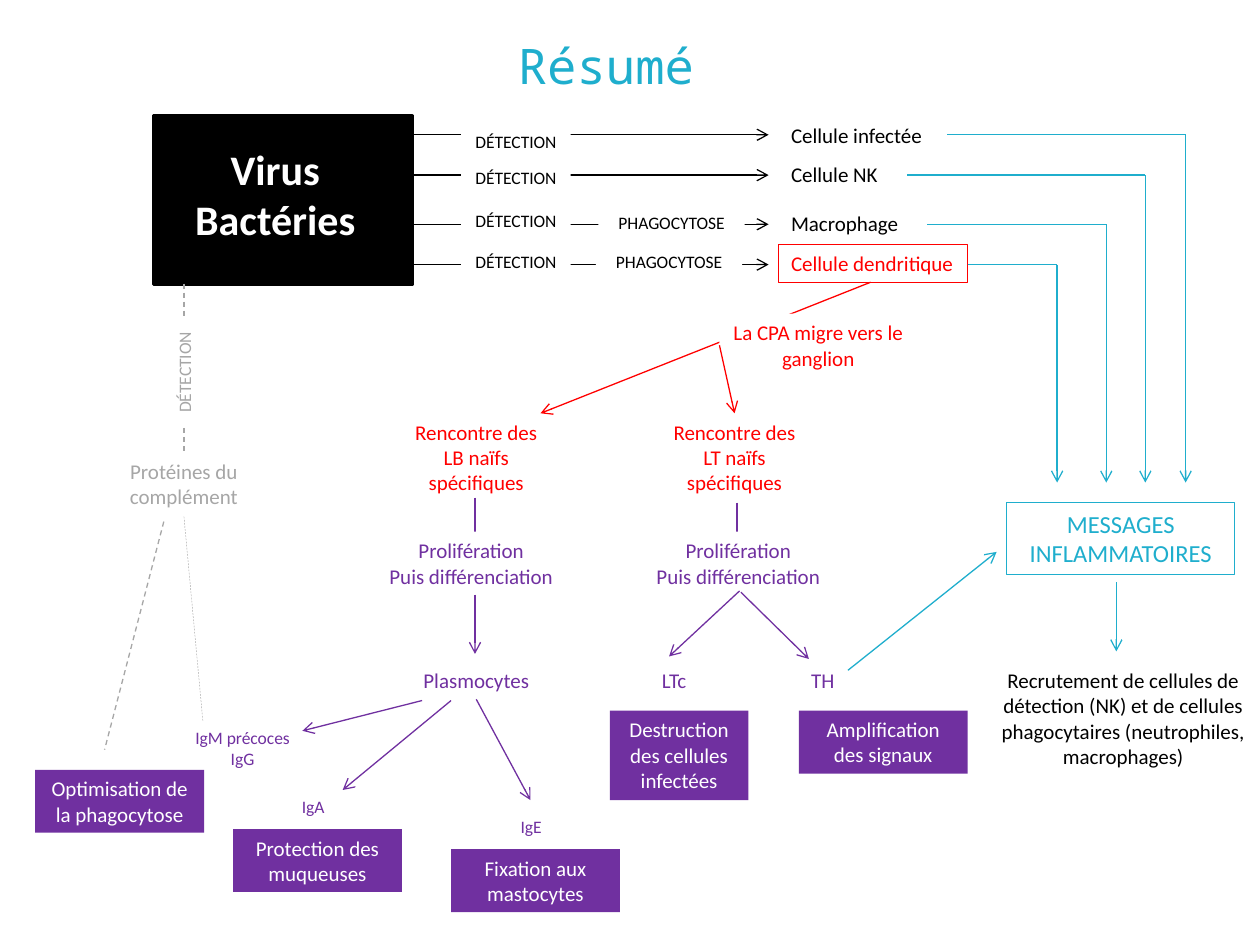
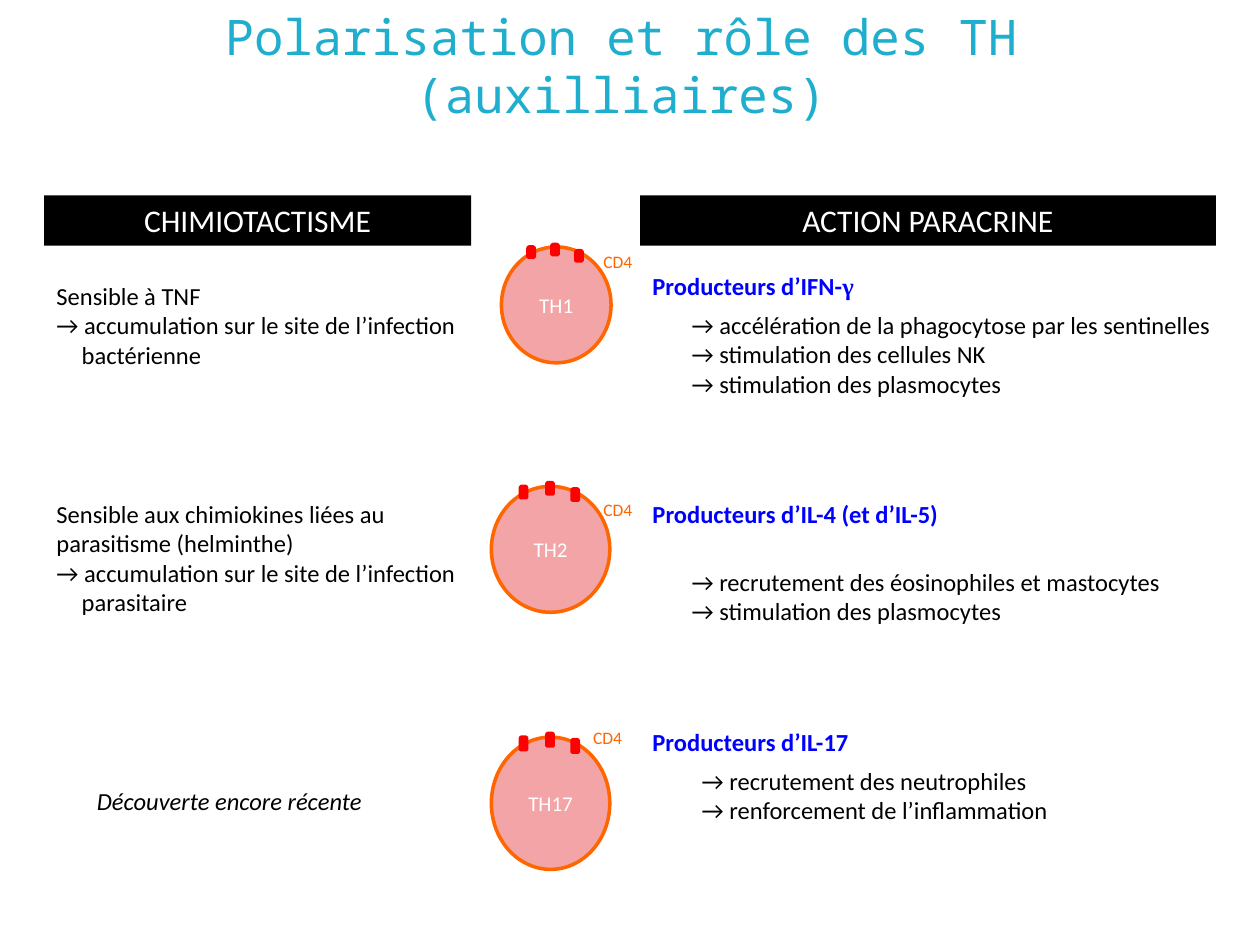
"""Build two slides on the immune response: a summary map and the roles of TH cells."""
from lxml import etree
from pptx import Presentation
from pptx.dml.color import RGBColor
from pptx.enum.dml import MSO_LINE
from pptx.enum.shapes import MSO_CONNECTOR, MSO_SHAPE
from pptx.enum.text import MSO_ANCHOR, PP_ALIGN
from pptx.oxml.ns import qn
from pptx.util import Pt

PX = 9144
RECT, OVAL, SNIP = MSO_SHAPE.RECTANGLE, MSO_SHAPE.OVAL, MSO_SHAPE.SNIP_2_SAME_RECTANGLE
LEFT, MID = PP_ALIGN.LEFT, PP_ALIGN.CENTER
TOP, HALF = MSO_ANCHOR.TOP, MSO_ANCHOR.MIDDLE
DASH = MSO_LINE.DASH
LINE = MSO_CONNECTOR.STRAIGHT


class Theme:
    sans, mono, serif = "Calibri", "Noto Sans Mono", "Times New Roman"
    black, white, grey = (RGBColor.from_string(c) for c in ("000000", "FFFFFF", "A6A6A6"))
    cyan, red, violet = (RGBColor.from_string(c) for c in ("1FAECD", "FF0000", "7030A0"))
    pink, orange, blue = (RGBColor.from_string(c) for c in ("F2A4A7", "FF6600", "0000FF"))
    tiny, small, body, head, big, title = (Pt(n) for n in (10, 12, 14, 18, 24, 28))
    hair, thin, bold, thick = (Pt(n) for n in (0.25, 0.75, 1.75, 2))


def box(area, at, text="", size=Theme.small, ink=Theme.black, fill=None, edge=None,
        width=Theme.thin, kind=None, align=MID, anchor=TOP, face=Theme.sans, hang=0, **style):
    """Add a text box, or a shape if it has a kind, fill or edge; a bar starts a serif run."""
    place = [n * PX for n in at]
    if kind or fill or edge:
        shape = area.add_shape(kind or RECT, *place)
        shape.shadow.inherit = False
        if fill:
            shape.fill.solid()
            shape.fill.fore_color.rgb = fill
        else:
            shape.fill.background()
        if edge:
            shape.line.color.rgb = edge
            shape.line.width = width
        else:
            shape.line.fill.background()
    else:
        shape = area.add_textbox(*place)
    frame = shape.text_frame
    frame.word_wrap = True
    frame.vertical_anchor = anchor
    for i, part in enumerate(text.split("\n") if text else []):
        para = frame.add_paragraph() if i else frame.paragraphs[0]
        para.alignment = align
        if hang and part.startswith("→"):
            props = para._p.get_or_add_pPr()
            props.set("marL", str(hang * PX))
            props.set("indent", str(-hang * PX))
        for words, name in zip(part.split("|"), (face, Theme.serif)):
            run = para.add_run()
            run.text = words
            run.font.color.rgb = ink
            for key, val in {"name": name, "size": size, **style}.items():
                setattr(run.font, key, val)
    return shape


def link(area, ends, ink, arrow=True, width=Theme.thin, dash=None):
    """Add a straight line, with an open arrowhead if wanted."""
    line = area.add_connector(LINE, *(n * PX for n in ends))
    for key, val in {"width": width, "dash_style": dash}.items():
        setattr(line.line, key, val)
    line.line.color.rgb = ink
    if arrow:
        etree.SubElement(line.line._get_or_add_ln(), qn("a:tailEnd"), type="arrow")
    etree.SubElement(line._element.spPr, qn("a:effectLst"))


deck = Presentation()
deck.slide_width, deck.slide_height = 1000 * PX, 750 * PX
pages = []
for left, text in ((31, "Résumé"), (43, "Polarisation et rôle des TH (auxilliaires)")):
    page = deck.slides.add_slide(deck.slide_layouts[6]).shapes
    box(page, (left, 13, 900, 77), text, Theme.title, Theme.cyan, anchor=HALF, face=Theme.mono)
    pages.append(page)
map_, roles = pages

for ends in ((585, 399, 585, 446), (377, 395, 377, 442)):
    link(map_, ends, Theme.violet, arrow=False)
box(map_, (122, 92, 205, 134), fill=Theme.black, edge=Theme.black, width=Theme.bold)
box(map_, (140, 109, 157, 91), "Virus\nBactéries", Theme.big, Theme.white, bold=True)

rows = (
    (107, 319, 99, 92, "Cellule infectée", 752, 941),
    (139, 295, 128, 123, "Cellule NK", 720, 909),
    (178, 295, 162, 162, "Macrophage", 736, 878),
    (210, 295, 194, 194, "Cellule dendritique", 768, 839),
)
for y, start, tag, top, cell, out, turn in rows:
    link(map_, (start, y, 610, y), Theme.black)
    box(map_, (366, tag, 87, 27), "DÉTECTION", Theme.tiny, fill=Theme.white)
    last = y == 210
    box(map_, (618, top, 150 if last else 173, 30), cell, align=LEFT,
        ink=Theme.red if last else Theme.black, edge=Theme.red if last else None)
    link(map_, (out, y, turn, y), Theme.cyan, arrow=False)
    link(map_, (turn, y, turn, 383), Theme.cyan)
for left, top in ((475, 163), (473, 194)):
    box(map_, (left, top, 116, 27), "PHAGOCYTOSE", Theme.tiny, fill=Theme.white)

box(map_, (799, 399, 181, 57), "MESSAGES INFLAMMATOIRES", Theme.body, Theme.cyan, edge=Theme.cyan)
box(map_, (783, 525, 217, 91), "Recrutement de cellules de détection (NK) et de cellules "
    "phagocytaires (neutrophiles, macrophages)")
link(map_, (691, 224, 429, 328), Theme.red)
box(map_, (571, 249, 157, 50), "La CPA migre vers le ganglion", ink=Theme.red, fill=Theme.white)
for left, low, kind in ((311, 264, "LB"), (516, 476, "LT")):
    box(map_, (left, 328, 134, 71), f"Rencontre des {kind} naïfs spécifiques", ink=Theme.red)
    box(map_, (low, 422, 220, 50), "Prolifération\nPuis différenciation",
        ink=Theme.violet, fill=Theme.white)

for ink, paths in (
    (Theme.red, ((571, 274, 583, 328),)),
    (Theme.cyan, ((886, 462, 886, 517), (673, 532, 791, 438))),
    (Theme.violet, ((587, 469, 531, 521), (588, 470, 642, 523), (377, 472, 377, 519),
                    (335, 556, 240, 580), (358, 556, 272, 627), (378, 555, 421, 635))),
):
    for ends in paths:
        link(map_, ends, ink)

for left, text in ((319, "Plasmocytes"), (594, "TH"), (476, "LTc")):
    box(map_, (left, 525, 118, 30), text, ink=Theme.violet)
for at, text in (
    ((484, 564, 110, 71), "Destruction des cellules infectées"),
    ((634, 564, 134, 50), "Amplification des signaux"),
    ((28, 611, 134, 50), "Optimisation de la phagocytose"),
    ((185, 658, 134, 50), "Protection des muqueuses"),
    ((358, 674, 134, 50), "Fixation aux mastocytes"),
):
    box(map_, at, text, ink=Theme.white, fill=Theme.violet)
for at, text in (
    ((114, 572, 157, 44), "IgM précoces\nIgG"),
    ((209, 627, 79, 27), "IgA"),
    ((382, 643, 79, 27), "IgE"),
):
    box(map_, at, text, Theme.tiny, Theme.violet)

for ends, width in (
    ((146, 225, 146, 359), Theme.thin),
    ((161, 572, 146, 410), Theme.hair),
    ((130, 414, 83, 595), Theme.thin),
):
    link(map_, ends, Theme.grey, arrow=False, width=width, dash=DASH)
tag = box(map_, (103, 282, 87, 27), "DÉTECTION", Theme.tiny, Theme.grey, fill=Theme.white)
tag.rotation = 270
box(map_, (83, 359, 126, 50), "Protéines du complément", ink=Theme.grey)

for left, width, text in ((35, 339, "CHIMIOTACTISME"), (508, 457, "ACTION PARACRINE")):
    box(roles, (left, 155, width, 40), text, Theme.head, Theme.white, fill=Theme.black)

cells = (
    ("TH1", (398, 196, 87, 92), ((419, 196), (438, 194), (457, 199)), 8, (469, 194, 63, 27)),
    ("TH2", (390, 386, 94, 100), ((413, 386), (434, 383), (454, 388)), 9, (469, 391, 63, 27)),
    ("TH17", (390, 585, 94, 105), ((413, 585), (434, 582), (454, 587)), 10, (461, 572, 63, 34)),
)
for name, at, spots, tall, label in cells:
    cell = roles.add_group_shape().shapes
    box(cell, at, name, ink=Theme.white, fill=Theme.pink, edge=Theme.orange,
        width=Theme.thick, kind=OVAL, anchor=HALF)
    for x, y in spots:
        box(cell, (x, y, 5, tall), fill=Theme.red, edge=Theme.red, width=Theme.thick, kind=SNIP)
    box(cell, label, "CD4", Theme.tiny, Theme.orange, align=LEFT)

for at, text in (
    ((508, 210, 240, 34), "Producteurs d’IFN-|γ"),
    ((508, 391, 339, 34), "Producteurs d’IL-4 (et d’IL-5)"),
    ((508, 572, 240, 57), "Producteurs d’IL-17"),
):
    box(roles, at, text, Theme.body, Theme.blue, align=LEFT, bold=True)
for at, text in (
    ((35, 218, 346, 81), "Sensible à TNF\n"
     "→ accumulation sur le site de l’infection bactérienne"),
    ((35, 391, 354, 104), "Sensible aux chimiokines liées au parasitisme (helminthe)\n"
     "→ accumulation sur le site de l’infection parasitaire"),
):
    box(roles, at, text, Theme.body, align=LEFT, hang=20)
for at, text in (
    ((539, 241, 461, 81), "→ accélération de la phagocytose par les sentinelles\n"
     "→ stimulation des cellules NK\n→ stimulation des plasmocytes"),
    ((539, 445, 417, 58), "→ recrutement des éosinophiles et mastocytes\n"
     "→ stimulation des plasmocytes"),
    ((547, 603, 362, 81), "→ recrutement des neutrophiles\n→ renforcement de l’inflammation"),
):
    box(roles, at, text, Theme.body, align=LEFT)
box(roles, (67, 619, 244, 34), "Découverte encore récente", Theme.body, align=LEFT, italic=True)

deck.save("out.pptx")
